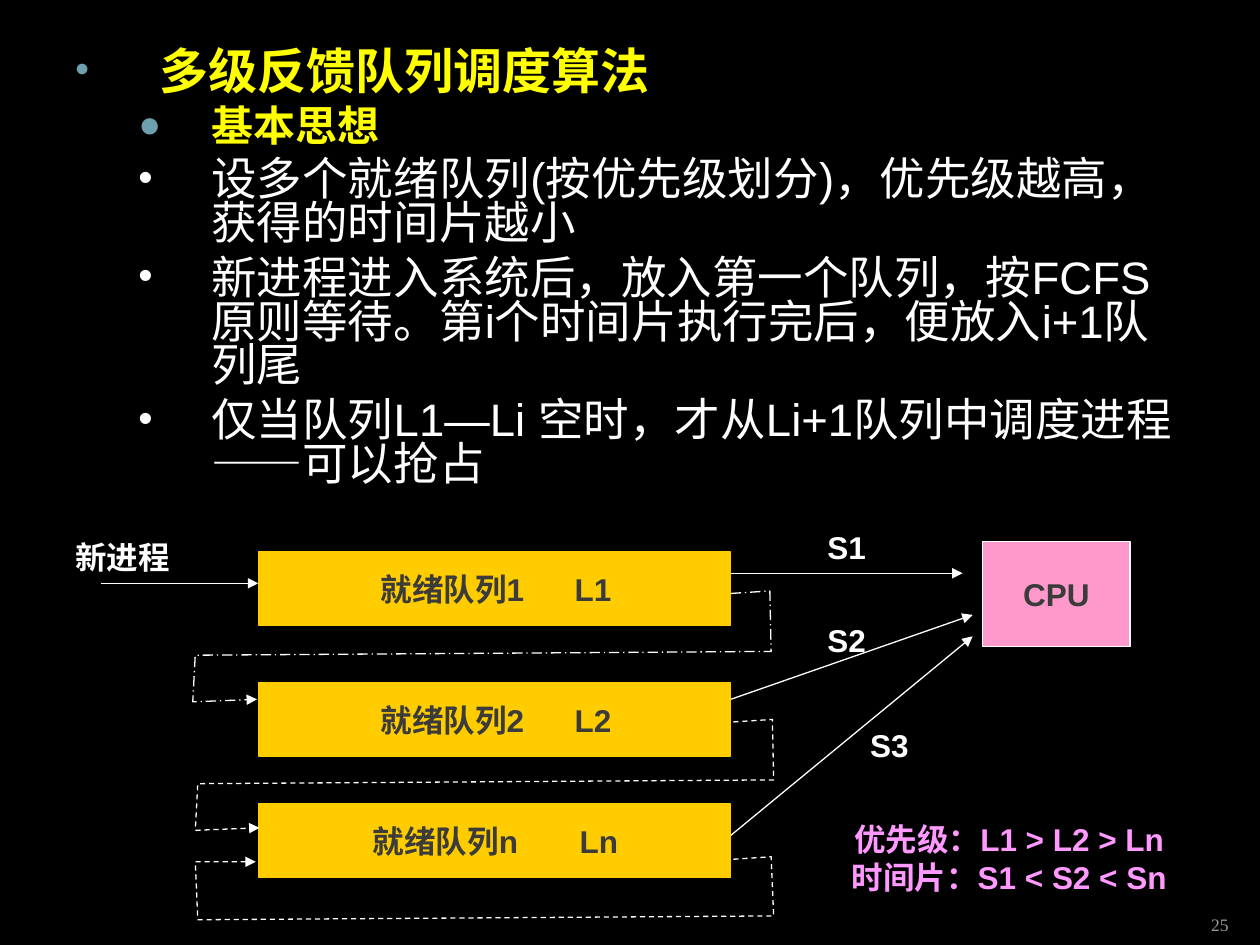
from collections import namedtuple

from lxml import etree
from pptx import Presentation
from pptx.dml.color import RGBColor
from pptx.enum.dml import MSO_LINE
from pptx.enum.shapes import MSO_CONNECTOR, MSO_SHAPE
from pptx.enum.text import MSO_ANCHOR, MSO_AUTO_SIZE, PP_ALIGN
from pptx.oxml.ns import qn
from pptx.util import Inches, Pt

RECTANGLE = MSO_SHAPE.RECTANGLE
STRAIGHT = MSO_CONNECTOR.STRAIGHT
DASH, LONG_DASH_DOT = MSO_LINE.DASH, MSO_LINE.LONG_DASH_DOT
MIDDLE, BOTTOM = MSO_ANCHOR.MIDDLE, MSO_ANCHOR.BOTTOM
LEFT, CENTER, RIGHT = PP_ALIGN.LEFT, PP_ALIGN.CENTER, PP_ALIGN.RIGHT
FIT_SHAPE = MSO_AUTO_SIZE.SHAPE_TO_FIT_TEXT

BLACK = RGBColor(0x00, 0x00, 0x00)
WHITE = RGBColor(0xFF, 0xFF, 0xFF)
YELLOW = RGBColor(0xFF, 0xFF, 0x00)
TEAL = RGBColor(0x6E, 0xA0, 0xB0)
AMBER = RGBColor(0xFF, 0xCC, 0x00)
PINK = RGBColor(0xFF, 0x99, 0xCC)
ORCHID = RGBColor(0xFF, 0x99, 0xFF)
CHARCOAL = RGBColor(0x3B, 0x3B, 0x3B)
GREY = RGBColor(0x9B, 0x9A, 0x98)

Box = namedtuple("Box", "left top width height")
Bullet = namedtuple("Bullet", "text level size bold color mark mark_color percent before")

BULLETS = [
    Bullet("多级反馈队列调度算法", 0, 28, True, YELLOW, "•", TEAL, 80, 7),
    Bullet("基本思想", 1, 24, True, YELLOW, "●", TEAL, 90, 6),
] + [
    Bullet(text, 1, 26, False, WHITE, "•", WHITE, 90, 6.5)
    for text in (
        "设多个就绪队列(按优先级划分)，优先级越高，获得的时间片越小",
        "新进程进入系统后，放入第一个队列，按FCFS原则等待。第i个时间片执行完后，便放入i+1队列尾",
        "仅当队列L1—Li 空时，才从Li+1队列中调度进程——可以抢占",
    )
]
INDENTS = [(0.67, -0.67), (1.08, -0.58)]

QUEUES = [
    ("就绪队列1\tL1", 0.24, 0.97, 1.54),
    ("就绪队列2\tL2", 1.28, 0.97, 1.54),
    ("就绪队列n\tLn", 2.24, 0.91, 1.64),
]
ARROWS = [
    ((0.3, 0.49), (1.55, 0.49)),
    ((5.3, 0.41), (7.14, 0.41)),
    ((5.3, 1.41), (7.22, 0.74)),
    ((5.3, 2.49), (7.22, 0.91)),
]
LABELS = [("S1", 5.92, 0), ("S2", 5.92, 0.74), ("S3", 6.26, 1.57)]
FIRST_LOOP = [(5.3, 0.57), (5.61, 0.55), (5.62, 1.03), (1.05, 1.06), (1.03, 1.43), (1.54, 1.41)]
SECOND_LOOP = [(x + 0.02, y + 1.02) for x, y in FIRST_LOOP]
LAST_LOOP = [(5.32, 2.68), (5.62, 2.66), (5.64, 3.13), (1.07, 3.16), (1.05, 2.7), (1.53, 2.7)]
LOOPS = [(FIRST_LOOP, LONG_DASH_DOT), (SECOND_LOOP, DASH), (LAST_LOOP, DASH)]


def inner_box(box, left, top, width, height):
    return Box(box.left + left, box.top + top, width, height)


def in_inches(values):
    return [Inches(value) for value in values]


def set_format(target, values):
    for name, value in values.items():
        setattr(target, name, value)


def add_span(para, text, size, color, bold=True, font="Arial"):
    span = para.add_run()
    span.text = text
    set_format(span.font, {"name": font, "size": Pt(size), "bold": bold})
    span.font.color.rgb = color


def write_lines(frame, lines, color, align=CENTER):
    for index, line in enumerate(lines):
        para = frame.paragraphs[0] if index == 0 else frame.add_paragraph()
        para.alignment = align
        add_span(para, line, 18, color)


def add_label(page, box, lines, color, align=CENTER):
    frame = page.shapes.add_textbox(*in_inches(box)).text_frame
    set_format(frame, {"word_wrap": False, "auto_size": FIT_SHAPE})
    write_lines(frame, lines, color, align)


def add_rectangle(page, box, fill, border):
    shape = page.shapes.add_shape(RECTANGLE, *in_inches(box))
    shape.shadow.inherit = False
    shape.fill.solid()
    shape.fill.fore_color.rgb = fill
    shape.line.color.rgb = border
    shape.line.width = Pt(0.75)
    set_format(shape.text_frame, {"word_wrap": False, "vertical_anchor": MIDDLE})
    return shape


def style_arrow(arrow, dash=None):
    arrow.line.color.rgb = WHITE
    arrow.line.width = Pt(0.75)
    if dash is not None:
        arrow.line.dash_style = dash
    outline = arrow.line._get_or_add_ln()
    etree.SubElement(outline, qn("a:tailEnd"), type="triangle")


def add_arrow(page, box, start, end):
    points = (box.left + start[0], box.top + start[1], box.left + end[0], box.top + end[1])
    arrow = page.shapes.add_connector(STRAIGHT, *in_inches(points))
    style_arrow(arrow)
    etree.SubElement(arrow._element.spPr, qn("a:effectLst"))


def add_loop(page, box, points, dash):
    corners = [in_inches((box.left + x, box.top + y)) for x, y in points]
    builder = page.shapes.build_freeform(*corners[0])
    builder.add_line_segments(corners[1:], close=False)
    loop = builder.convert_to_shape()
    loop.shadow.inherit = False
    loop.fill.background()
    style_arrow(loop, dash)


def add_queue(page, box, text, inset, tab):
    frame = add_rectangle(page, box, AMBER, AMBER).text_frame
    set_format(frame, {"word_wrap": True, "margin_left": Inches(inset)})
    write_lines(frame, [text], CHARCOAL, LEFT)
    properties = frame.paragraphs[0]._p.get_or_add_pPr()
    stops = etree.SubElement(properties, qn("a:tabLst"))
    etree.SubElement(stops, qn("a:tab"), pos=str(Inches(tab)), algn="l")


def add_bullet(para, bullet):
    set_format(para, {"level": bullet.level, "line_spacing": 0.8, "space_before": Pt(bullet.before)})
    properties = para._p.get_or_add_pPr()
    for name, value in zip(("marL", "indent"), INDENTS[bullet.level]):
        properties.set(name, str(Inches(value)))
    properties.set("hangingPunct", "0")
    color = etree.SubElement(properties, qn("a:buClr"))
    etree.SubElement(color, qn("a:srgbClr"), val=str(bullet.mark_color))
    etree.SubElement(properties, qn("a:buSzPct"), val=str(bullet.percent * 1000))
    etree.SubElement(properties, qn("a:buFont"), typeface="Arial")
    etree.SubElement(properties, qn("a:buChar"), char=bullet.mark)
    add_span(para, bullet.text, bullet.size, bullet.color, bullet.bold)


def add_body(page, box):
    frame = page.shapes.add_textbox(*in_inches(box)).text_frame
    frame.word_wrap = True
    for index, bullet in enumerate(BULLETS):
        para = frame.paragraphs[0] if index == 0 else frame.add_paragraph()
        add_bullet(para, bullet)


def add_page_number(page, box):
    frame = page.shapes.add_textbox(*in_inches(box)).text_frame
    set_format(frame, {"word_wrap": True, "vertical_anchor": BOTTOM})
    set_format(frame, {f"margin_{side}": 0 for side in ("left", "top", "right", "bottom")})
    para = frame.paragraphs[0]
    para.alignment = RIGHT
    add_span(para, "25", 10, GREY, False, "Times New Roman")


def add_diagram(page, box):
    for text, top, inset, tab in QUEUES:
        add_queue(page, inner_box(box, 1.55, top, 3.75, 0.58), text, inset, tab)
    cpu = add_rectangle(page, inner_box(box, 7.3, 0.16, 1.17, 0.83), PINK, WHITE)
    write_lines(cpu.text_frame, ["CPU"], CHARCOAL)
    for start, end in ARROWS:
        add_arrow(page, box, start, end)
    for points, dash in LOOPS:
        add_loop(page, box, points, dash)
    for text, left, top in LABELS:
        add_label(page, inner_box(box, left, top, 0.6, 0.4), [text], WHITE)
    add_label(page, inner_box(box, 0, 0.08, 0.95, 0.4), ["新进程"], WHITE, LEFT)
    legend = ["优先级：L1 > L2 > Ln", "时间片：S1 < S2 < Sn"]
    add_label(page, inner_box(box, 6.13, 2.32, 2.76, 0.7), legend, ORCHID)


def main():
    deck = Presentation()
    set_format(deck, {"slide_width": Inches(10), "slide_height": Inches(7.5)})
    page = deck.slides.add_slide(deck.slide_layouts[6])
    page.background.fill.solid()
    page.background.fill.fore_color.rgb = BLACK
    add_body(page, Box(0.5, 0.36, 9, 3.86))
    add_page_number(page, Box(8.92, 7.02, 0.83, 0.4))
    add_diagram(page, Box(0.5, 4.14, 8.89, 3.17))
    deck.save("out.pptx")


if __name__ == "__main__":
    main()
